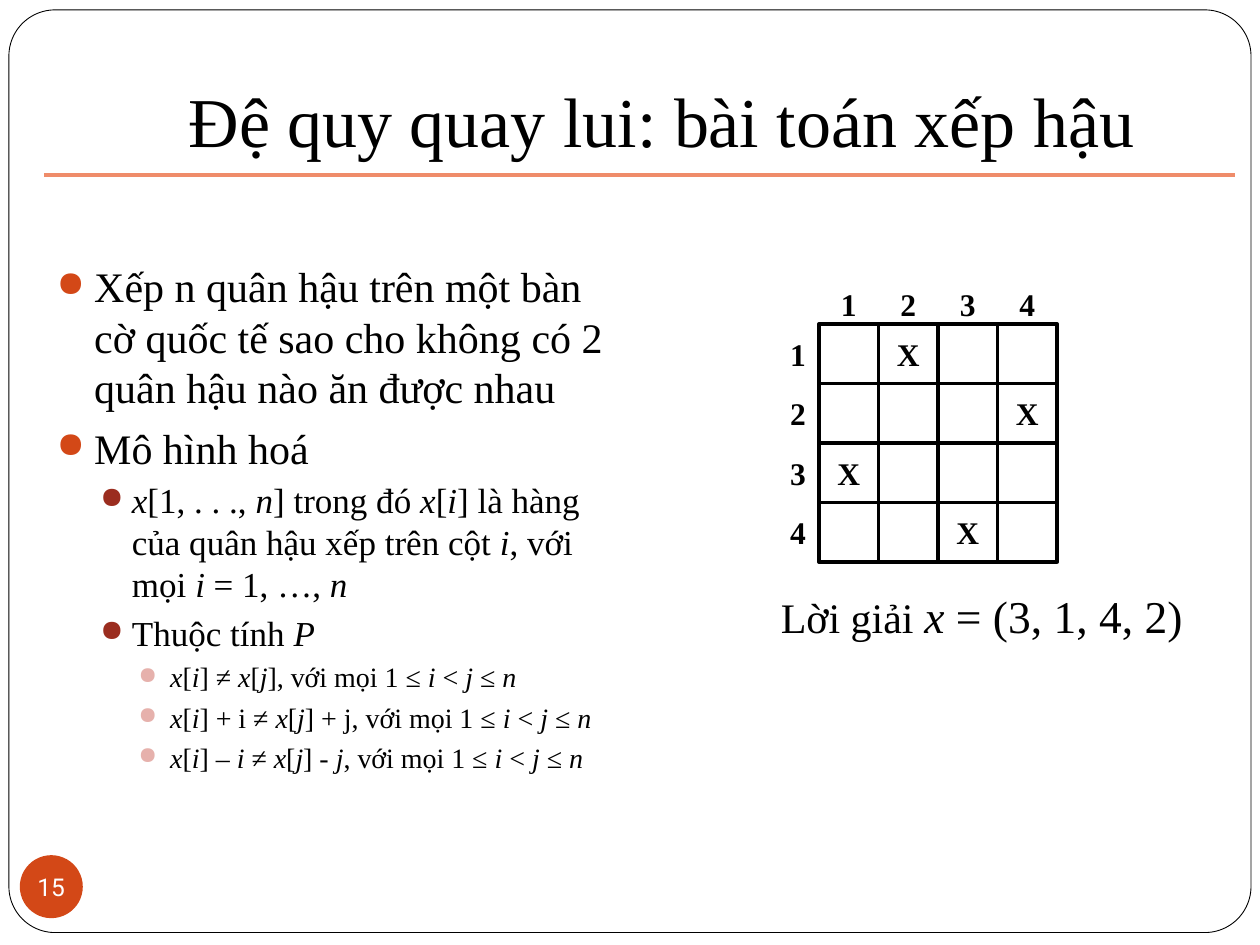
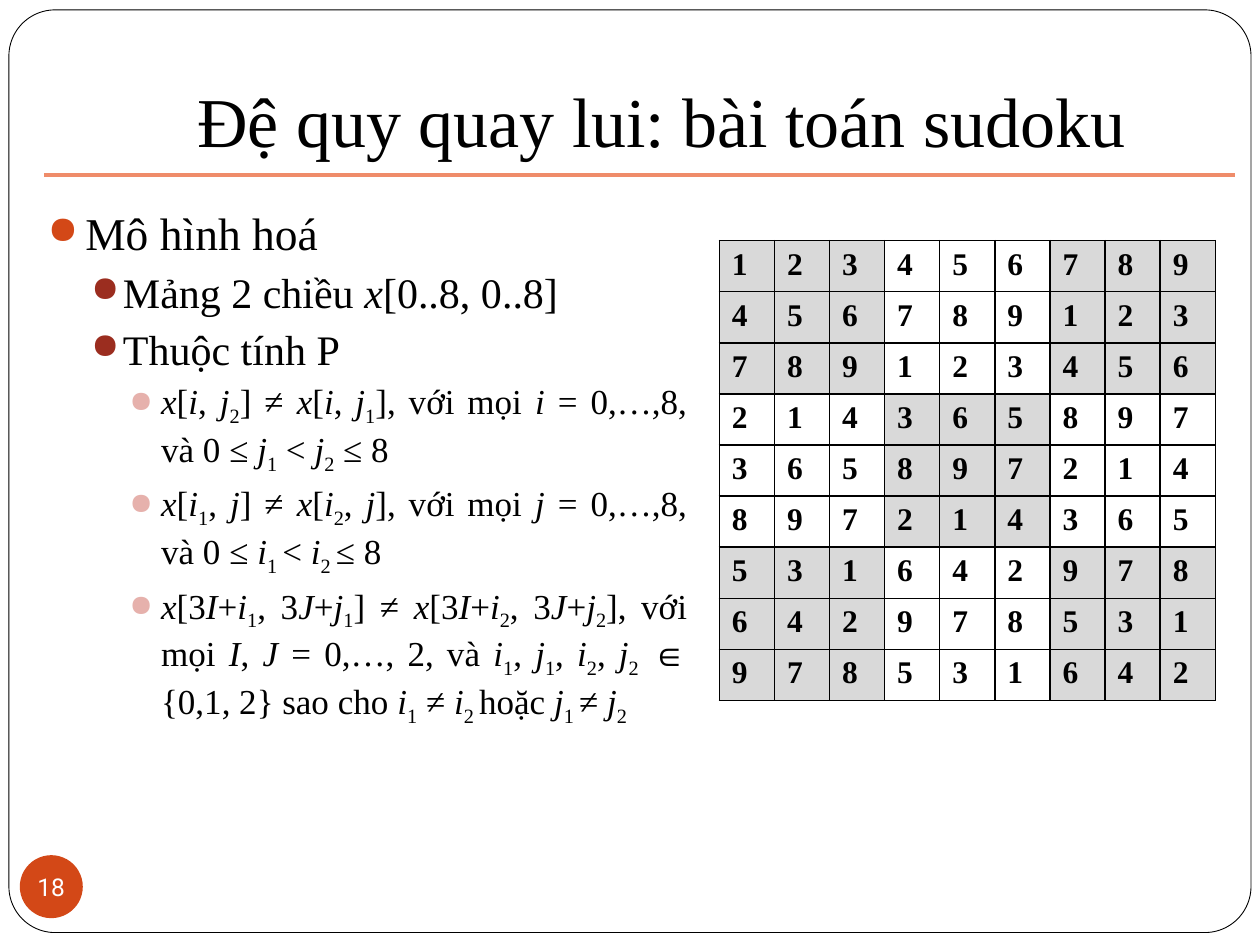
from collections import namedtuple
from dataclasses import dataclass

from lxml.etree import SubElement
from pptx import Presentation
from pptx.dml.color import RGBColor
from pptx.enum.shapes import MSO_CONNECTOR, MSO_SHAPE
from pptx.enum.text import MSO_ANCHOR, PP_ALIGN
from pptx.oxml.ns import qn
from pptx.util import Cm, Pt

Box = namedtuple("Box", "left top width height")
Level = namedtuple("Level", "indent hanging before bullet")


@dataclass(frozen=True)
class Theme:
    ink: str = "000000"
    paper: str = "FFFFFF"
    accent: str = "D34817"
    rule: str = "EF8C6A"
    shade: str = "D9D9D9"
    serif: str = "Times New Roman"
    sans: str = "Roboto"
    title: int = 40
    formula: int = 26
    caption: int = 24
    grid: int = 18
    number: int = 14
    levels: tuple = (
        Level(0.76, 0.76, 5.8, "D34817"),
        Level(1.52, 0.64, 3.7, "9B2D1F"),
        Level(2.29, 0.64, 3.7, "E6B1AC"),
    )


THEME = Theme()
FRAME = Box(0.18, 0.2, 25.04, 18.6)
TITLE = Box(2.54, 0.33, 21.59, 3.18)
RULE = Box(0.89, 3.53, 24, 0)
BADGE = Box(0.4, 17.24, 1.27, 1.27)


def rgb(value):
    return RGBColor.from_string(value)


def lengths(box):
    return [Cm(value) for value in box]


def style(paragraph, size, bold=None, color=THEME.ink, face=THEME.serif,
          align=None):
    paragraph.alignment = align
    font = paragraph.font
    font.size, font.bold, font.name = Pt(size), bold, face
    font.color.rgb = rgb(color)


def add_text(slide, box, anchor=MSO_ANCHOR.TOP):
    frame = slide.shapes.add_textbox(*lengths(box)).text_frame
    frame.word_wrap = True
    frame.vertical_anchor = anchor
    return frame


def add_shape(slide, kind, box, fill=None, line=None, weight=0):
    shape = slide.shapes.add_shape(kind, *lengths(box))
    shape.shadow.inherit = False
    if fill:
        shape.fill.solid()
        shape.fill.fore_color.rgb = rgb(fill)
    else:
        shape.fill.background()
    if line:
        shape.line.color.rgb = rgb(line)
        shape.line.width = Pt(weight)
    else:
        shape.line.fill.background()
    return shape


def add_formula(paragraph, text, size=None):
    """Write text in which *...* is italic and ~...~ is subscript."""
    for i, part in enumerate(text.split("*")):
        for j, piece in enumerate(part.split("~")):
            if not piece:
                continue
            run = paragraph.add_run()
            run.text = piece
            if size:
                run.font.size = Pt(size)
            if i % 2:
                run.font.italic = True
            if j % 2:
                run.font._element.set("baseline", "-25000")


def add_bullet(paragraph, level):
    props = paragraph._p.get_or_add_pPr()
    props.set("marL", str(Cm(level.indent)))
    props.set("indent", str(-Cm(level.hanging)))
    color = SubElement(props, qn("a:buClr"))
    SubElement(color, qn("a:srgbClr"), val=level.bullet)
    SubElement(props, qn("a:buSzPct"), val="85000")
    SubElement(props, qn("a:buChar"), char="●")


def add_outline(slide, box, sizes, items, align=None):
    """Bulleted outline; items are (level, text), sizes go by level."""
    frame = add_text(slide, box)
    for n, (depth, text) in enumerate(items):
        paragraph = frame.add_paragraph() if n else frame.paragraphs[0]
        paragraph.level = depth
        add_bullet(paragraph, THEME.levels[depth])
        if n:
            paragraph.space_before = Pt(THEME.levels[depth].before)
        style(paragraph, sizes[depth], align=align)
        add_formula(paragraph, text)


def add_base(prs, title, number):
    """Slide with the shared frame, title, rule and page badge."""
    slide = prs.slides.add_slide(prs.slide_layouts[6])
    frame = add_shape(slide, MSO_SHAPE.ROUNDED_RECTANGLE, FRAME,
                      THEME.paper, THEME.ink, 0.5)
    frame.adjustments[0] = 0.05

    # Title
    heading = add_text(slide, TITLE, MSO_ANCHOR.BOTTOM)
    heading.margin_bottom = Cm(0.25)
    heading.text = title
    style(heading.paragraphs[0], THEME.title, align=PP_ALIGN.CENTER)

    # Rule under the title
    left, top, width, height = lengths(RULE)
    rule = slide.shapes.add_connector(MSO_CONNECTOR.STRAIGHT, left, top,
                                      left + width, top + height)
    rule.line.color.rgb = rgb(THEME.rule)
    rule.line.width = Pt(2)
    SubElement(rule._element.spPr, qn("a:effectLst"))

    # Page badge
    badge = add_shape(slide, MSO_SHAPE.OVAL, BADGE, THEME.accent).text_frame
    badge.margin_left = badge.margin_right = 0
    badge.margin_top = badge.margin_bottom = 0
    badge.word_wrap = False
    badge.vertical_anchor = MSO_ANCHOR.MIDDLE
    badge.text = number
    style(badge.paragraphs[0], THEME.number, color=THEME.paper,
          face=THEME.sans, align=PP_ALIGN.CENTER)
    return slide


def add_mark(frame, text):
    frame.vertical_anchor = MSO_ANCHOR.MIDDLE
    frame.text = text
    style(frame.paragraphs[0], THEME.grid, bold=True, align=PP_ALIGN.CENTER)


def add_chessboard(slide, box, queen_rows):
    """Square board; queen_rows holds the queen's row for each column."""
    count = len(queen_rows)
    side = box.width / count

    def cell(row, column):
        return Box(box.left + column * side, box.top + row * side, side, side)

    for row in range(count):
        for column, queen_row in enumerate(queen_rows):
            square = add_shape(slide, MSO_SHAPE.RECTANGLE, cell(row, column),
                               line=THEME.ink, weight=2)
            if queen_row == row + 1:
                add_mark(square.text_frame, "X")

    # Column numbers above, row numbers to the left
    for n in range(count):
        for place in (cell(-0.83, n), cell(n, -0.85)):
            add_mark(add_text(slide, place), str(n + 1))


def add_solution(slide, box, label, formula):
    paragraph = add_text(slide, box).paragraphs[0]
    style(paragraph, THEME.caption)
    add_formula(paragraph, label)
    add_formula(paragraph, formula, THEME.formula)


def add_borders(cell):
    props = cell._tc.get_or_add_tcPr()
    for side in ("lnL", "lnR", "lnT", "lnB"):
        line = SubElement(props, qn(f"a:{side}"), w=str(Pt(1)))
        fill = SubElement(line, qn("a:solidFill"))
        SubElement(fill, qn("a:srgbClr"), val=THEME.ink)


def add_sudoku(slide, box, rows):
    """Digit grid whose 3 by 3 blocks are shaded alternately."""
    count = len(rows)
    table = slide.shapes.add_table(count, count, *lengths(box)).table
    table.first_row = table.horz_banding = False
    for n in range(count):
        table.columns[n].width = Cm(box.width / count)
        table.rows[n].height = Cm(box.height / count)
    for r, digits in enumerate(rows):
        for c, digit in enumerate(digits):
            cell = table.cell(r, c)
            cell.text = digit
            style(cell.text_frame.paragraphs[0], THEME.grid, bold=True)
            add_borders(cell)
            if (r // 3 + c // 3) % 2:
                cell.fill.background()
            else:
                cell.fill.solid()
                cell.fill.fore_color.rgb = rgb(THEME.shade)


def build_queens(prs):
    slide = add_base(prs, "Đệ quy quay lui: bài toán xếp hậu", "15")
    add_outline(slide, Box(0.89, 5.13, 11.99, 12.8), (24, 20, 16), [
        (0, "Xếp n quân hậu trên một bàn cờ quốc tế sao cho không có 2 "
            "quân hậu nào ăn được nhau"),
        (0, "Mô hình hoá"),
        (1, "*x*[1, . . ., *n*] trong đó *x*[*i*] là hàng của quân hậu xếp "
            "trên cột *i*, với mọi *i* = 1, …, *n*"),
        (1, "Thuộc tính *P*"),
        (2, "*x*[*i*] ≠ *x*[*j*], với mọi 1 ≤ *i* < *j* ≤ *n*"),
        (2, "*x*[*i*] + i ≠ *x*[*j*] + j, với mọi 1 ≤ *i* < *j* ≤ *n*"),
        (2, "*x*[*i*] – *i *≠ *x*[*j*] - *j*, với mọi 1 ≤ *i* < *j* ≤ *n*"),
    ])
    add_chessboard(slide, Box(16.51, 6.53, 4.8, 4.8), (3, 1, 4, 2))
    add_solution(slide, Box(15.49, 11.73, 8.99, 5.77),
                 "Lời giải ", "*x* = (3, 1, 4, 2)")


def build_sudoku(prs):
    slide = add_base(prs, "Đệ quy quay lui: bài toán sudoku", "18")
    add_outline(slide, Box(0.71, 4.01, 13.39, 12.7), (26, 24, 20), [
        (0, "Mô hình hoá"),
        (1, "Mảng 2 chiều *x*[0..8, 0..8]"),
        (1, "Thuộc tính P"),
        (2, "*x*[*i*, *j*~2~] ≠ *x*[*i*, *j*~1~], với mọi *i* = 0,…,8, "
            "và 0 ≤ *j*~1~ < *j*~2~ ≤ 8"),
        (2, "*x*[*i*~1~, *j*] ≠ *x*[*i*~2~, *j*], với mọi *j *= 0,…,8, "
            "và 0 ≤ *i*~1 ~< *i*~2 ~≤ 8"),
        (2, "*x*[3*I*+*i*~1~, 3*J*+*j*~1~] ≠ *x*[3*I*+*i*~2~, 3*J*+*j*~2~], "
            "với mọi *I*, *J* = 0,…, 2, và *i*~1~, *j*~1~, *i*~2~, *j*~2~ ∈ "
            "{0,1, 2} sao cho *i*~1~ ≠ *i*~2 ~hoặc *j*~1 ~≠ *j*~2~"),
    ], PP_ALIGN.JUSTIFY)
    add_sudoku(slide, Box(14.5, 4.85, 10, 9.27), (
        "123456789", "456789123", "789123456",
        "214365897", "365897214", "897214365",
        "531642978", "642978531", "978531642",
    ))


def main():
    prs = Presentation()
    prs.slide_width, prs.slide_height = Cm(25.4), Cm(19.05)
    build_queens(prs)
    build_sudoku(prs)
    prs.save("out.pptx")


if __name__ == "__main__":
    main()
